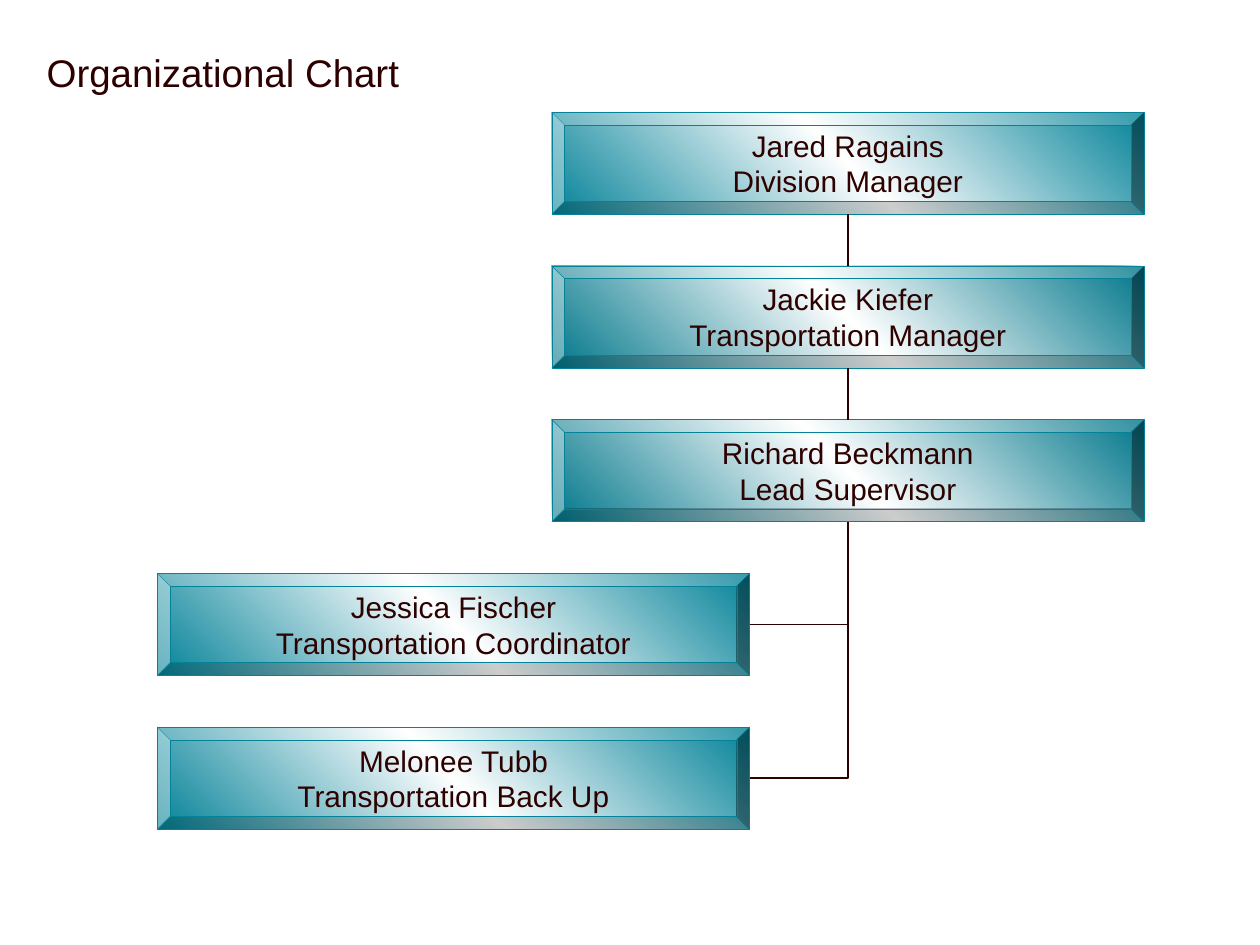
import copy

import pptx
import pptx.dml.color
import pptx.enum.shapes
import pptx.enum.text
import pptx.oxml
import pptx.oxml.ns
import pptx.util

COLOURS = {
    "title": "2C0000",
    "ink": "2C0100",
    "teal": "048298",
    "deep": "00768A",
    "white": "FFFFFF",
}
FONT = "Arial"
WIDTH, HEIGHT = 10, 7.5
BOX_WIDTH, BOX_HEIGHT = 4.7, 0.81
FIRST_TOP, ROW_STEP = 0.89, 1.22
COLUMNS = {"staff": 1.25, "managers": 4.38}
POSITIONS = [
    ("managers", "teal", "Jared Ragains", "Division Manager"),
    ("managers", "deep", "Jackie Kiefer", "Transportation Manager"),
    ("managers", "deep", "Richard Beckmann", "Lead Supervisor"),
    ("staff", "teal", "Jessica Fischer", "Transportation Coordinator"),
    ("staff", "teal", "Melonee Tubb", "Transportation Back Up"),
]


def colour(name):
    return pptx.dml.color.RGBColor.from_string(COLOURS[name])


def write_text(box, lines, size, ink, align, anchor, margin=0):
    frame = box.text_frame
    frame.word_wrap = True
    frame.vertical_anchor = anchor
    frame.margin_left = frame.margin_right = pptx.util.Inches(margin)
    frame.margin_top = frame.margin_bottom = pptx.util.Inches(margin)
    for index, line in enumerate(lines):
        para = frame.add_paragraph() if index else frame.paragraphs[0]
        para.alignment = align
        span = para.add_run()
        span.text = line
        span.font.name = FONT
        span.font.size = pptx.util.Pt(size)
        span.font.color.rgb = colour(ink)


def fill_gradient(shape, edge):
    shape.fill.gradient()
    shape.fill.gradient_angle = 45
    stop_list = shape._element.spPr.find(
        f"{pptx.oxml.ns.qn('a:gradFill')}/{pptx.oxml.ns.qn('a:gsLst')}")
    stop_list.insert(1, copy.deepcopy(stop_list[0]))
    stops = zip(shape.fill.gradient_stops, (0, 0.5, 1), (edge, "white", edge))
    for stop, position, name in stops:
        stop.position = position
        stop.color.rgb = colour(name)


def add_title(page, text):
    box = page.shapes.add_textbox(
        *map(pptx.util.Inches, (0.33, 0.35, 9.42, 1.16)))
    write_text(box, [text], size=22, ink="title", margin=0.04,
               align=pptx.enum.text.PP_ALIGN.LEFT,
               anchor=pptx.enum.text.MSO_ANCHOR.TOP)


def add_position(page, row, column, edge, lines):
    box = page.shapes.add_shape(
        pptx.enum.shapes.MSO_SHAPE.BEVEL,
        pptx.util.Inches(COLUMNS[column]),
        pptx.util.Inches(FIRST_TOP + row * ROW_STEP),
        pptx.util.Inches(BOX_WIDTH), pptx.util.Inches(BOX_HEIGHT))
    box.adjustments[0] = 0.125
    box.shadow.inherit = False
    fill_gradient(box, edge)
    box.line.color.rgb = colour("teal")
    box.line.width = pptx.util.Pt(0.25)
    write_text(box, lines, size=17, ink="ink",
               align=pptx.enum.text.PP_ALIGN.CENTER,
               anchor=pptx.enum.text.MSO_ANCHOR.MIDDLE)
    return box


def add_link(page, start, end, bent=False):
    kinds = pptx.enum.shapes.MSO_CONNECTOR
    link = page.shapes.add_connector(
        kinds.ELBOW if bent else kinds.STRAIGHT, *start, *end)
    properties = link._element.spPr
    if bent:
        properties.find(pptx.oxml.ns.qn("a:prstGeom")).set(
            "prst", "bentConnector2")
    link.line.color.rgb = colour("ink")
    link.line.width = pptx.util.Pt(0.75)
    properties.append(pptx.oxml.parse_xml(
        f"<a:effectLst {pptx.oxml.ns.nsdecls('a')}/>"))


def top_middle(box):
    return box.left + box.width // 2, box.top


def bottom_middle(box):
    return box.left + box.width // 2, box.top + box.height


def right_middle(box):
    return box.left + box.width, box.top + box.height // 2


def main():
    deck = pptx.Presentation()
    deck.slide_width = pptx.util.Inches(WIDTH)
    deck.slide_height = pptx.util.Inches(HEIGHT)
    page = deck.slides.add_slide(deck.slide_layouts[6])
    page.background.fill.solid()
    page.background.fill.fore_color.rgb = colour("white")
    add_title(page, "Organizational Chart")
    boxes = [add_position(page, row, column, edge, lines)
             for row, (column, edge, *lines) in enumerate(POSITIONS)]
    managers, staff = boxes[:3], boxes[3:]
    for upper, lower in zip(managers, managers[1:]):
        add_link(page, bottom_middle(upper), top_middle(lower))
    for member in staff:
        add_link(page, right_middle(member), bottom_middle(managers[-1]),
                 bent=True)
    deck.save("out.pptx")


if __name__ == "__main__":
    main()
